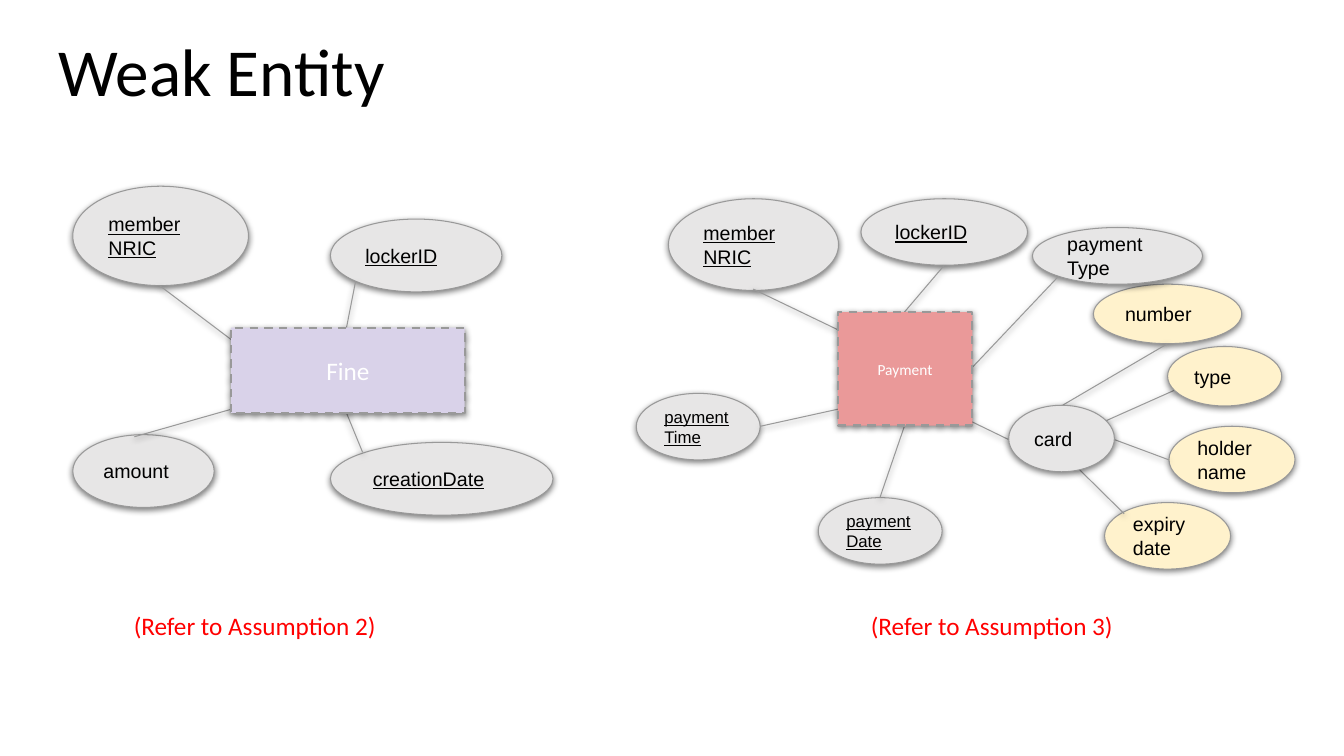
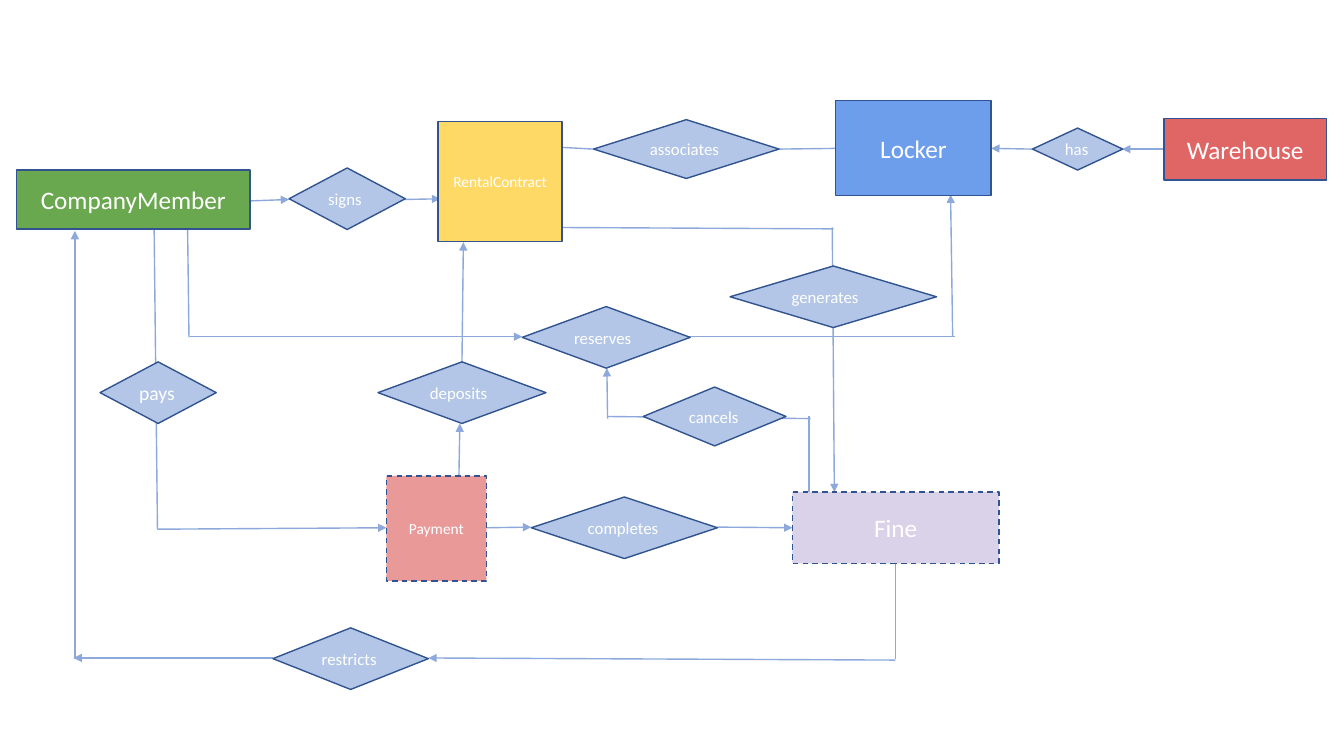
from dataclasses import dataclass

from lxml import etree
from pptx import Presentation
from pptx.dml.color import RGBColor
from pptx.enum import dml, shapes, text
from pptx.oxml import ns
from pptx.util import Pt

COLORS = {
    "black": "000000", "white": "FFFFFF", "red": "FF0000",
    "gray": "E7E6E6", "cream": "FFF2CC", "outline": "999999",
    "rose": "EA9999", "lilac": "D9D2E9", "blue": "6D9EEB",
    "brick": "E06666", "yellow": "FFD966", "green": "6AA84F",
    "diamond": "B3C6E7", "navy": "31538F", "link": "8DA9DB",
}
INSET = 7.2
TITLE_ONLY, BLANK = 5, 6


@dataclass(frozen=True)
class Style:
    """Look of one family of shapes."""
    geometry: shapes.MSO_SHAPE
    line: str
    width: float
    font: str
    ink: str
    align: text.PP_ALIGN
    inset_y: float
    shadow: bool


@dataclass(frozen=True)
class Node:
    label: str
    left: float
    top: float
    width: float
    height: float
    fill: str
    size: float = 14
    underline: bool = False
    dashed: bool = False


@dataclass(frozen=True)
class Link:
    x1: float
    y1: float
    x2: float
    y2: float
    arrow: bool = False


LEFT, CENTER = text.PP_ALIGN.LEFT, text.PP_ALIGN.CENTER
ATTRIBUTE = Style(shapes.MSO_SHAPE.OVAL, "outline", 0.75, "Arial", "black", LEFT, INSET, True)
WEAK_ENTITY = Style(shapes.MSO_SHAPE.RECTANGLE, "outline", 1.5, "Calibri", "white", CENTER, 3.6, True)
ENTITY = Style(shapes.MSO_SHAPE.RECTANGLE, "navy", 1, "Calibri", "white", CENTER, 3.6, False)
RELATIONSHIP = Style(shapes.MSO_SHAPE.FLOWCHART_DECISION, "navy", 1, "Calibri", "white", LEFT, 3.6, False)

# Weak entities: attributes, attributes in front of the links, entities
ATTRIBUTES = [
    Node("member NRIC", 52, 133, 125.5, 71, "gray", underline=True),
    Node("lockerID", 236, 156.5, 122.5, 52, "gray", underline=True),
    Node("amount", 52, 310.5, 101, 52, "gray"),
    Node("creationDate", 236, 316, 159, 52, "gray", underline=True),
    Node("paymentDate", 584.5, 355.5, 88.5, 47.5, "gray", 12, True),
    Node("paymentTime", 454.5, 281, 88.5, 47.5, "gray", 12, True),
    Node("member NRIC", 477.5, 142, 121.5, 65.5, "gray", underline=True),
    Node("lockerID", 615, 142, 119, 47.5, "gray", underline=True),
    Node("number", 781, 203, 106, 42.5, "cream"),
    Node("expiry date", 789, 359, 90, 47.5, "cream"),
    Node("holder name", 835, 304.5, 90, 47.5, "cream"),
    Node("payment Type", 737.5, 162.5, 121.5, 40.5, "gray"),
]
FRONT_ATTRIBUTES = [
    Node("type", 834, 247.5, 81.5, 42.5, "cream"),
    Node("card", 720.5, 289.5, 75.5, 47.5, "gray"),
]
WEAK_ENTITIES = [
    Node("Payment", 598.5, 223, 96, 81, "rose", 11, dashed=True),
    Node("Fine", 165, 234, 167, 61, "lilac", 18, dashed=True),
]
ATTRIBUTE_LINKS = [
    Link(167, 244, 114, 204), Link(247.5, 234, 254, 201),
    Link(191, 285, 96, 312), Link(247.5, 295, 259, 323),
    Link(609, 290, 543, 304.5), Link(646, 304.5, 628.5, 355.5),
    Link(628.5, 250, 538, 206.5), Link(646, 223, 674.5, 189.5),
    Link(656.5, 283, 720.5, 314), Link(693.5, 263.5, 755.5, 198),
    Link(759, 289.5, 834, 245.5), Link(789, 301, 844, 276.5),
    Link(803, 367, 762.5, 327), Link(835, 328.5, 796, 314),
]
ASSUMPTIONS = {"(Refer to Assumption 2)": 88.5, "(Refer to Assumption 3)": 615}

# Relationships between entities
ENTITIES = [
    Node("CompanyMember", 12, 121.5, 166.5, 42, "green", 18),
    Node("RentalContract", 313, 87, 88.5, 85.5, "yellow", 11),
    Node("Locker", 597, 72, 111, 67.5, "blue", 18),
    Node("Warehouse", 831.5, 84.5, 116, 44, "brick", 18),
    Node("Payment", 276, 340, 71.5, 75, "rose", 11, dashed=True),
    Node("Fine", 566, 351.5, 147.5, 51, "lilac", 18, dashed=True),
]
RELATIONSHIPS = [
    Node("signs", 206.5, 120, 83, 44, "diamond", 12),
    Node("associates", 424, 85.5, 132.5, 42, "diamond", 12),
    Node("has", 737.5, 91.5, 64.5, 30, "diamond", 12),
    Node("generates", 521.5, 190, 147.5, 44, "diamond", 12),
    Node("reserves", 373, 219, 120, 44, "diamond", 12),
    Node("cancels", 459.5, 276.5, 102, 42, "diamond", 12),
    Node("pays", 71.5, 258.5, 83, 44, "diamond", 14),
    Node("deposits", 270, 258.5, 120, 44, "diamond", 12),
    Node("completes", 379.5, 355, 133, 44, "diamond", 12),
    Node("restricts", 195, 448.5, 111, 44, "diamond", 12),
]
RELATIONSHIP_LINKS = [
    # signs, associates, has
    Link(179, 143.5, 206.5, 142.5, True), Link(287.5, 142.5, 314.5, 142, True),
    Link(396.5, 105, 424, 106.5), Link(556.5, 106.5, 597, 106),
    Link(831.5, 106.5, 801.5, 106.5, True), Link(737.5, 106.5, 708, 106, True),
    # generates, reserves
    Link(396.5, 162.5, 595.5, 163.5), Link(594.5, 162.5, 596, 351.5, True),
    Link(134, 162.5, 135, 241), Link(135.5, 240.5, 373, 240.5, True),
    Link(481, 240.5, 682, 240.5), Link(680.5, 240.5, 679, 139, True),
    # cancels, pays
    Link(578, 297.5, 578, 352), Link(434, 297.5, 579, 299),
    Link(434, 299, 433.5, 263, True),
    Link(110, 153.5, 112.5, 378), Link(112.5, 378, 276, 377, True),
    # deposits, completes
    Link(327, 386.5, 328.5, 302.5, True), Link(330, 258.5, 331, 173, True),
    Link(347, 377, 379.5, 376.5, True), Link(512.5, 376.5, 566, 377, True),
    # restricts
    Link(639.5, 402.5, 639.5, 471), Link(639.5, 471.5, 306, 470, True),
    Link(195, 470, 52.5, 470, True), Link(53.5, 471, 53.5, 165, True),
]


def rgb(name: str) -> RGBColor:
    return RGBColor.from_string(COLORS[name])


def add_effects(properties, shadow: bool) -> None:
    """Append the effect list, with a soft shadow below if wanted."""
    effects = etree.SubElement(properties, ns.qn("a:effectLst"))
    if shadow:
        outer = etree.SubElement(
            effects, ns.qn("a:outerShdw"), blurRad=str(Pt(4.5)), dist=str(Pt(1.5)),
            dir="5400000", algn="bl", rotWithShape="0")
        black = etree.SubElement(outer, ns.qn("a:srgbClr"), val=COLORS["black"])
        etree.SubElement(black, ns.qn("a:alpha"), val="50000")


def write(frame, words: str, font: str, size: float, ink: str, align=LEFT,
          inset_y: float = INSET, anchor=text.MSO_ANCHOR.TOP, underline: bool = False) -> None:
    frame.word_wrap = True
    frame.auto_size = text.MSO_AUTO_SIZE.NONE
    frame.vertical_anchor = anchor
    frame.margin_left = frame.margin_right = Pt(INSET)
    frame.margin_top = frame.margin_bottom = Pt(inset_y)
    paragraph = frame.paragraphs[0]
    paragraph.alignment = align
    run = paragraph.add_run()
    run.text = words
    run.font.name, run.font.size = font, Pt(size)
    run.font.color.rgb = rgb(ink)
    if underline:
        run.font.underline = True


def draw_nodes(slide, nodes: list[Node], style: Style) -> None:
    for node in nodes:
        shape = slide.shapes.add_shape(
            style.geometry, Pt(node.left), Pt(node.top), Pt(node.width), Pt(node.height))
        shape.fill.solid()
        shape.fill.fore_color.rgb = rgb(node.fill)
        shape.line.color.rgb = rgb(style.line)
        shape.line.width = Pt(style.width)
        if node.dashed:
            shape.line.dash_style = dml.MSO_LINE.DASH
        add_effects(shape._element.spPr, style.shadow)
        write(shape.text_frame, node.label, style.font, node.size, style.ink, style.align,
              style.inset_y, text.MSO_ANCHOR.MIDDLE, node.underline)


def draw_links(slide, links: list[Link], color: str, width: float, shadow: bool) -> None:
    for link in links:
        connector = slide.shapes.add_connector(
            shapes.MSO_CONNECTOR.STRAIGHT, Pt(link.x1), Pt(link.y1), Pt(link.x2), Pt(link.y2))
        connector.line.color.rgb = rgb(color)
        connector.line.width = Pt(width)
        properties = connector._element.spPr
        if link.arrow:
            etree.SubElement(properties.find(ns.qn("a:ln")), ns.qn("a:tailEnd"), type="triangle")
        add_effects(properties, shadow)


def build_weak_entities(deck) -> None:
    slide = deck.slides.add_slide(deck.slide_layouts[TITLE_ONLY])
    heading = slide.shapes.title
    heading.left, heading.top, heading.width, heading.height = Pt(34.5), Pt(13.5), Pt(399.5), Pt(80.5)
    write(heading.text_frame, "Weak Entity", "Calibri", 48, "black")
    draw_nodes(slide, ATTRIBUTES, ATTRIBUTE)
    draw_links(slide, ATTRIBUTE_LINKS, "outline", 0.75, True)
    draw_nodes(slide, FRONT_ATTRIBUTES, ATTRIBUTE)
    draw_nodes(slide, WEAK_ENTITIES, WEAK_ENTITY)
    for words, left in ASSUMPTIONS.items():
        note = slide.shapes.add_textbox(Pt(left), Pt(428.5), Pt(232), Pt(43))
        write(note.text_frame, words, "Calibri", 18, "red")


def build_relationships(deck) -> None:
    slide = deck.slides.add_slide(deck.slide_layouts[BLANK])
    draw_links(slide, RELATIONSHIP_LINKS, "link", 1, False)
    draw_nodes(slide, ENTITIES, ENTITY)
    draw_nodes(slide, RELATIONSHIPS, RELATIONSHIP)


def main() -> None:
    deck = Presentation()
    deck.slide_width, deck.slide_height = Pt(960), Pt(540)
    build_weak_entities(deck)
    build_relationships(deck)
    deck.save("out.pptx")


if __name__ == "__main__":
    main()
